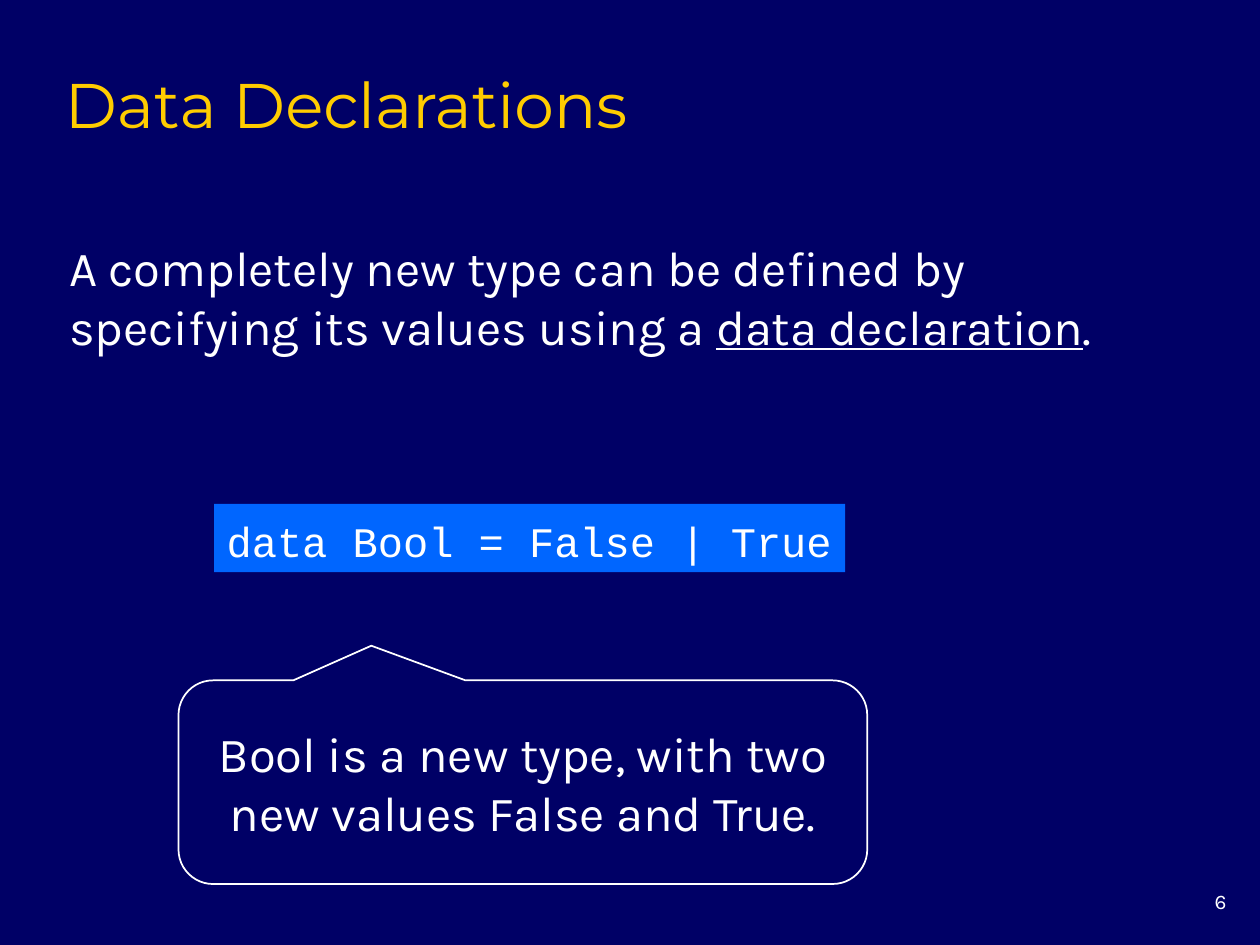
"""Builds a slide on data declarations in Haskell."""
from pptx import Presentation
from pptx import util as u
from pptx.dml.color import RGBColor
from pptx.enum import shapes, text

HEX = {"navy": "000066", "gold": "FFCC00", "white": "FFFFFF", "blue": "0066FF"}
FONT = {"head": "Montserrat", "body": "Karla", "code": "Courier New"}
ALIGN = text.PP_ALIGN
MID = text.MSO_ANCHOR.MIDDLE
COLS, ROWS = 120, 90


def tint(name):
    """Return the named colour."""
    return RGBColor.from_string(HEX[name])


class Deck:
    """Holds the style and the current slide."""

    def __init__(self, wide, high):
        """Open a deck with one blank slide."""
        self.prs = Presentation()
        self.prs.slide_width = u.Inches(wide)
        self.prs.slide_height = u.Inches(high)
        self.slide = self.prs.slides.add_slide(self.prs.slide_layouts[6])
        fill = self.slide.background.fill
        fill.solid()
        fill.fore_color.rgb = tint("navy")

    def area(self, col, row, cols, rows):
        """Turn grid cells into lengths."""
        x, y = self.prs.slide_width / COLS, self.prs.slide_height / ROWS
        return [u.Emu(round(n)) for n in (col * x, row * y, cols * x, rows * y)]

    def letter(self, item, runs, size, font="body", color="white",
               align=ALIGN.LEFT, anchor=MID, wrap=True, lead=None):
        """Fill an item with runs, given as pairs of words and underline."""
        frame = item.text_frame
        frame.word_wrap = wrap
        frame.vertical_anchor = anchor
        para = frame.paragraphs[0]
        para.alignment = align
        para.line_spacing = lead
        for words, under in runs:
            run = para.add_run()
            run.text = words
            run.font.name = FONT[font]
            run.font.size = u.Pt(size)
            run.font.color.rgb = tint(color)
            run.font.underline = under

    def label(self, cells, runs, size, **style):
        """Add a text box."""
        self.letter(self.slide.shapes.add_textbox(*self.area(*cells)), runs, size, **style)

    def box(self, kind, cells, runs, size, fill=None, line=None, adjust=(), **style):
        """Add a preset shape with text."""
        item = self.slide.shapes.add_shape(kind, *self.area(*cells))
        item.shadow.inherit = False
        for spot, share in enumerate(adjust):
            item.adjustments[spot] = share
        if fill:
            item.fill.solid()
            item.fill.fore_color.rgb = tint(fill)
        else:
            item.fill.background()
        if line:
            item.line.color.rgb = tint(line)
            item.line.width = u.Pt(1)
        else:
            item.line.fill.background()
        self.letter(item, runs, size, **style)


deck = Deck(10, 7.5)
kinds = shapes.MSO_SHAPE
deck.label((110, 84, 8, 4), [("6", False)], 11.9,
           align=ALIGN.RIGHT, anchor=text.MSO_ANCHOR.TOP)
deck.label((5, 5, 102, 9), [("Data Declarations", False)], 36,
           font="head", color="gold", anchor=text.MSO_ANCHOR.BOTTOM)
deck.label((5.4, 22, 110.2, 12.5), [
    ("A completely new type can be defined by specifying its values using a ", False),
    ("data declaration", True),
    (".", False),
], 28)
deck.box(kinds.RECTANGLE, (20.4, 48, 60.1, 6.5),
         [("data Bool = False | True", False)], 24,
         fill="blue", font="code", wrap=False, lead=1.1)
deck.box(kinds.ROUNDED_RECTANGULAR_CALLOUT, (17, 64.8, 65.6, 19.4),
         [("Bool is a new type, with two new values False and True.", False)], 28,
         line="white", adjust=(-0.22, -0.67, 0.17), align=ALIGN.CENTER)
deck.prs.save("out.pptx")
